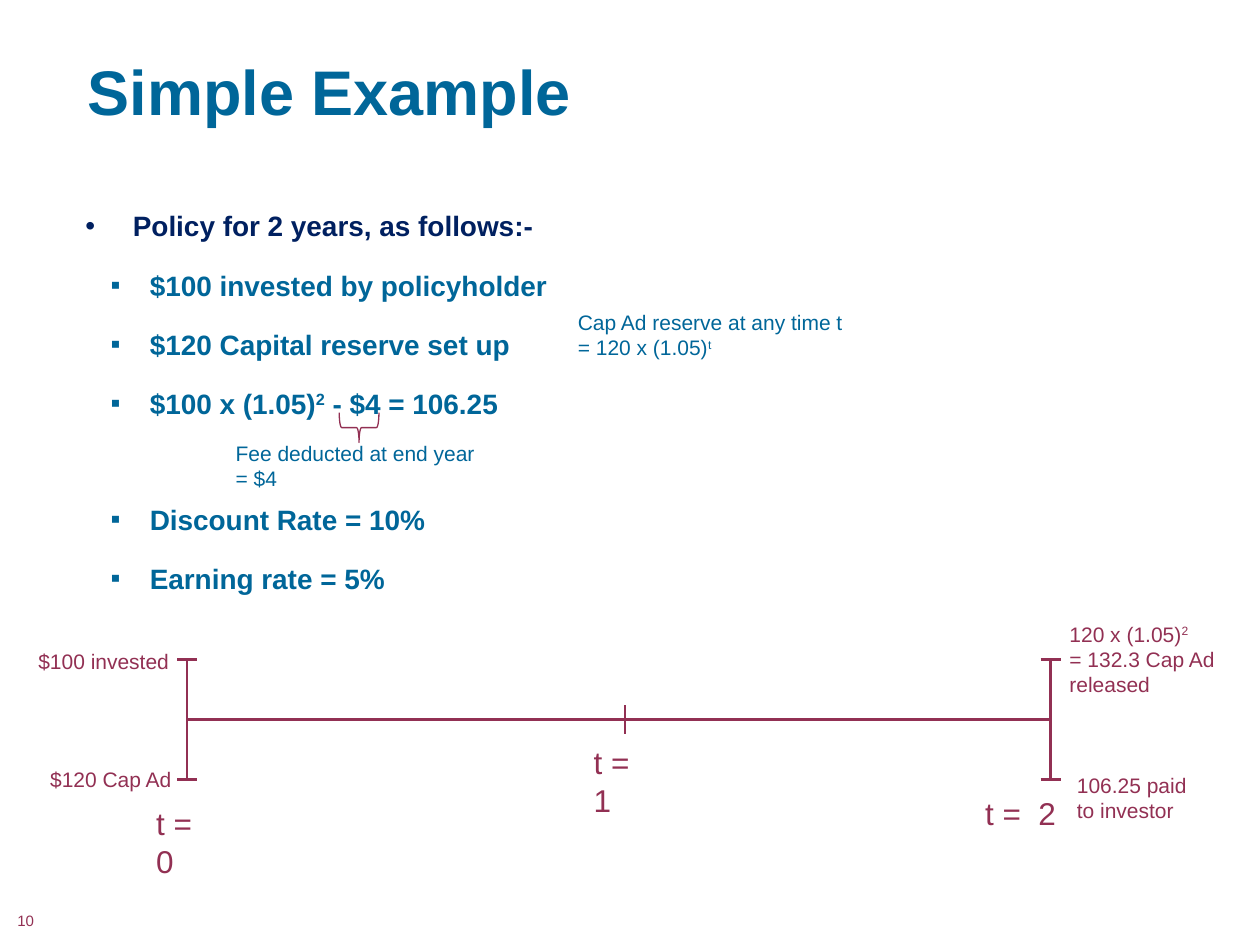
from lxml.etree import SubElement
from pptx import Presentation
from pptx.dml.color import RGBColor
from pptx.enum.shapes import MSO_CONNECTOR as Connector, MSO_SHAPE as Shape
from pptx.enum.text import MSO_ANCHOR as Anchor, MSO_AUTO_SIZE as AutoSize, PP_ALIGN as Align
from pptx.oxml.ns import qn
from pptx.util import Cm, Pt

COLORS = {"teal": "006699", "navy": "002060", "plum": "923053"}


def rgb(name):
    return RGBColor.from_string(COLORS[name])


def write(paragraph, text, size=12, color="plum", bold=False, align=Align.LEFT):
    """Add text to a paragraph; parts between ^ marks become superscript."""
    paragraph.alignment = align
    for index, part in enumerate(text.split("^")):
        if not part:
            continue
        run = paragraph.add_run()
        run.text = part
        run.font.name = "Arial"
        run.font.size = Pt(size)
        run.font.bold = bold
        run.font.color.rgb = rgb(color)
        if index % 2:
            run.font._element.set("baseline", "30000")


def add_bullet(paragraph, char, color, margin, hanging):
    properties = paragraph._p.get_or_add_pPr()
    properties.set("marL", str(Cm(margin)))
    properties.set("indent", str(-Cm(hanging)))
    bullet_color = SubElement(properties, qn("a:buClr"))
    SubElement(bullet_color, qn("a:srgbClr")).set("val", COLORS[color])
    SubElement(properties, qn("a:buFont")).set("typeface", "Arial")
    SubElement(properties, qn("a:buChar")).set("char", char)


class SlideBuilder:
    """Holds the line style and the slide being built."""

    def __init__(self, slide, line_color="plum"):
        self.shapes = slide.shapes
        self.line_color = line_color

    def frame(self, left, top, width, height, wrap=True):
        box = self.shapes.add_textbox(Cm(left), Cm(top), Cm(width), Cm(height))
        box.text_frame.word_wrap = wrap
        return box.text_frame

    def title(self, text, left, top, width, height):
        frame = self.frame(left, top, width, height)
        frame.vertical_anchor = Anchor.MIDDLE
        write(frame.paragraphs[0], text, size=36, color="teal", bold=True)

    def label(self, lines, left, top, width, height, **style):
        frame = self.frame(left, top, width, height, wrap=False)
        frame.auto_size = AutoSize.SHAPE_TO_FIT_TEXT
        for index, line in enumerate(lines):
            paragraph = frame.add_paragraph() if index else frame.paragraphs[0]
            write(paragraph, line, **style)

    def bullets(self, heading, items, left, top, width, height):
        """Items are (text, points of space before)."""
        frame = self.frame(left, top, width, height)
        first = frame.paragraphs[0]
        add_bullet(first, "•", "navy", 0.96, 0.96)
        first.line_spacing = 1.5
        write(first, heading, size=16, color="navy", bold=True)
        for text, space in items:
            paragraph = frame.add_paragraph()
            paragraph.level = 1
            add_bullet(paragraph, "▪", "teal", 1.3, 0.79)
            paragraph.line_spacing = 1.5
            paragraph.space_before = Pt(space)
            write(paragraph, text, size=16, color="teal", bold=True)

    def line(self, x1, y1, x2, y2):
        line = self.shapes.add_connector(
            Connector.STRAIGHT, Cm(x1), Cm(y1), Cm(x2), Cm(y2))
        line.line.color.rgb = rgb(self.line_color)
        line.line.width = Pt(1.5)
        SubElement(line._element.spPr, qn("a:effectLst"))

    def time_end(self, x, top, bottom, cap=0.4):
        """Vertical bar with a short cap at both ends."""
        self.line(x, top, x, bottom)
        for y in (top, bottom):
            self.line(x - cap / 2, y, x + cap / 2, y)

    def brace_below(self, left, top, width, height):
        brace = self.shapes.add_shape(
            Shape.LEFT_BRACE, Cm(left), Cm(top), Cm(width), Cm(height))
        brace.rotation = 270
        brace.shadow.inherit = False
        brace.fill.background()
        brace.line.color.rgb = rgb(self.line_color)
        brace.line.width = Pt(0.75)


def main():
    deck = Presentation()
    deck.slide_width, deck.slide_height = Cm(25.4), Cm(19.05)
    page = SlideBuilder(deck.slides.add_slide(deck.slide_layouts[6]))

    page.label(["10"], 0.1, 18.26, 1.32, 0.69, size=8.6)
    page.title("Simple Example", 1.52, 0.76, 21.74, 2.13)

    gap, fee_note_gap = 5, 37.6
    page.bullets("Policy for 2 years, as follows:-", [
        ("$100 invested by policyholder", gap),
        ("$120 Capital reserve set up", gap),
        ("$100 x (1.05)^2^ - $4 = 106.25", gap),
        ("Discount Rate = 10%", fee_note_gap),
        ("Earning rate = 5%", gap),
    ], 1.47, 3.75, 22, 8.99)

    page.brace_below(6.94, 8.22, 0.6, 0.8)
    page.label(["Fee deducted at end year", "= $4"], 4.5, 8.76, 5.44, 1.28, color="teal")
    page.label(["Cap Ad reserve at any time t", "= 120 x (1.05)^t^"],
               11.4, 6.12, 5.87, 1.28, color="teal")

    start, middle, end, axis = 3.77, 12.6, 21.18, 14.5
    page.line(start, axis, end, axis)
    page.line(middle, axis - 0.28, middle, axis + 0.3)
    for x in (start, end):
        page.time_end(x, 13.29, 15.71)

    for text, left, top, width in [("t = 0", 2.9, 16.08, 1.75),
                                   ("t = 1", 11.72, 14.86, 1.75),
                                   ("t =  2", 19.61, 15.88, 1.93)]:
        page.label([text], left, top, width, 1.02, size=18)

    page.label(["$100 invested"], 0.51, 12.95, 3.15, 0.76, align=Align.RIGHT)
    page.label(["$120 Cap Ad"], 0.74, 15.32, 2.97, 0.76, align=Align.RIGHT)
    page.label(["120 x (1.05)^2^", "= 132.3 Cap Ad", "released"], 21.31, 12.4, 3.58, 1.78)
    page.label(["106.25 paid", "to investor"], 21.46, 15.44, 2.82, 1.27)

    deck.save("out.pptx")


if __name__ == "__main__":
    main()
